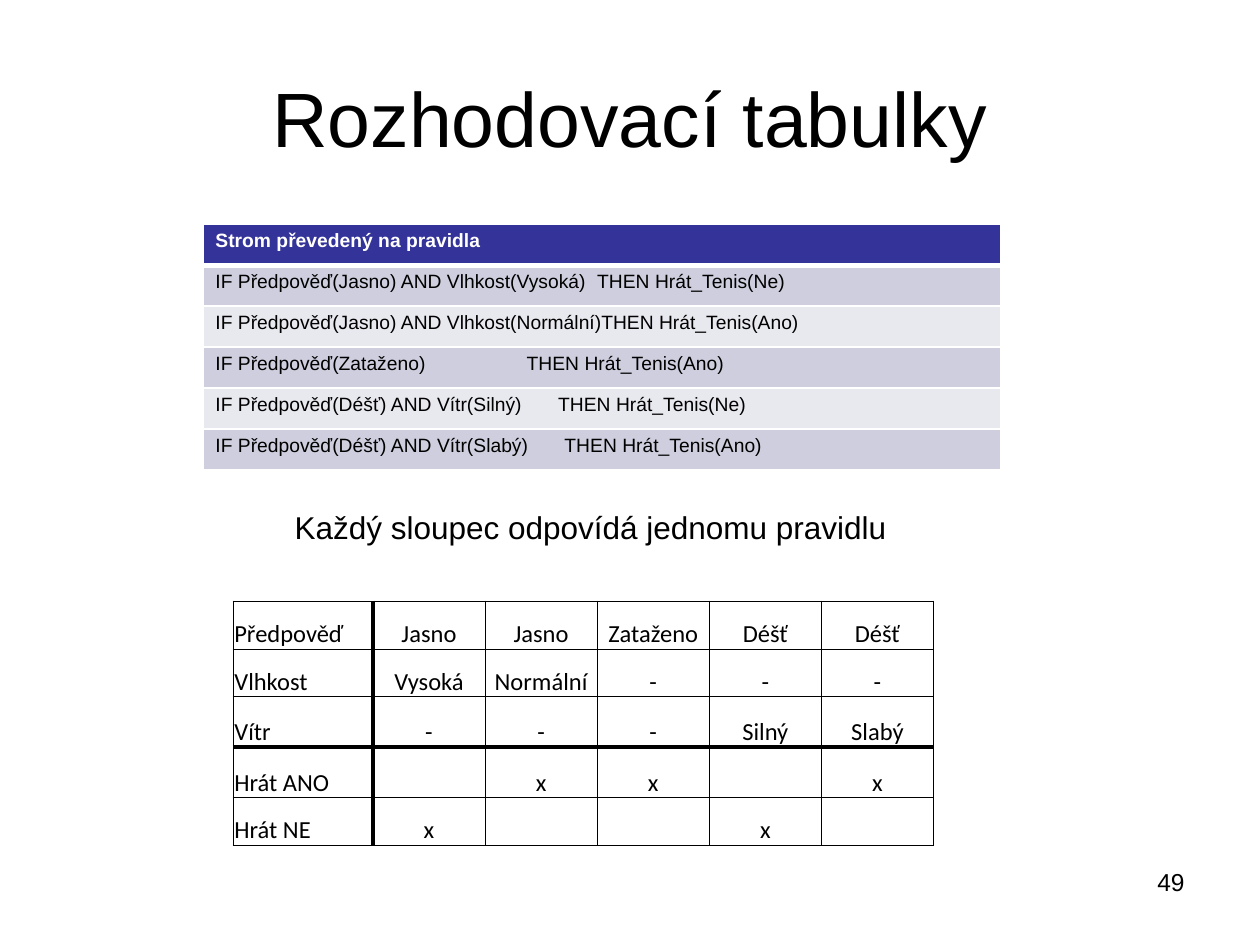
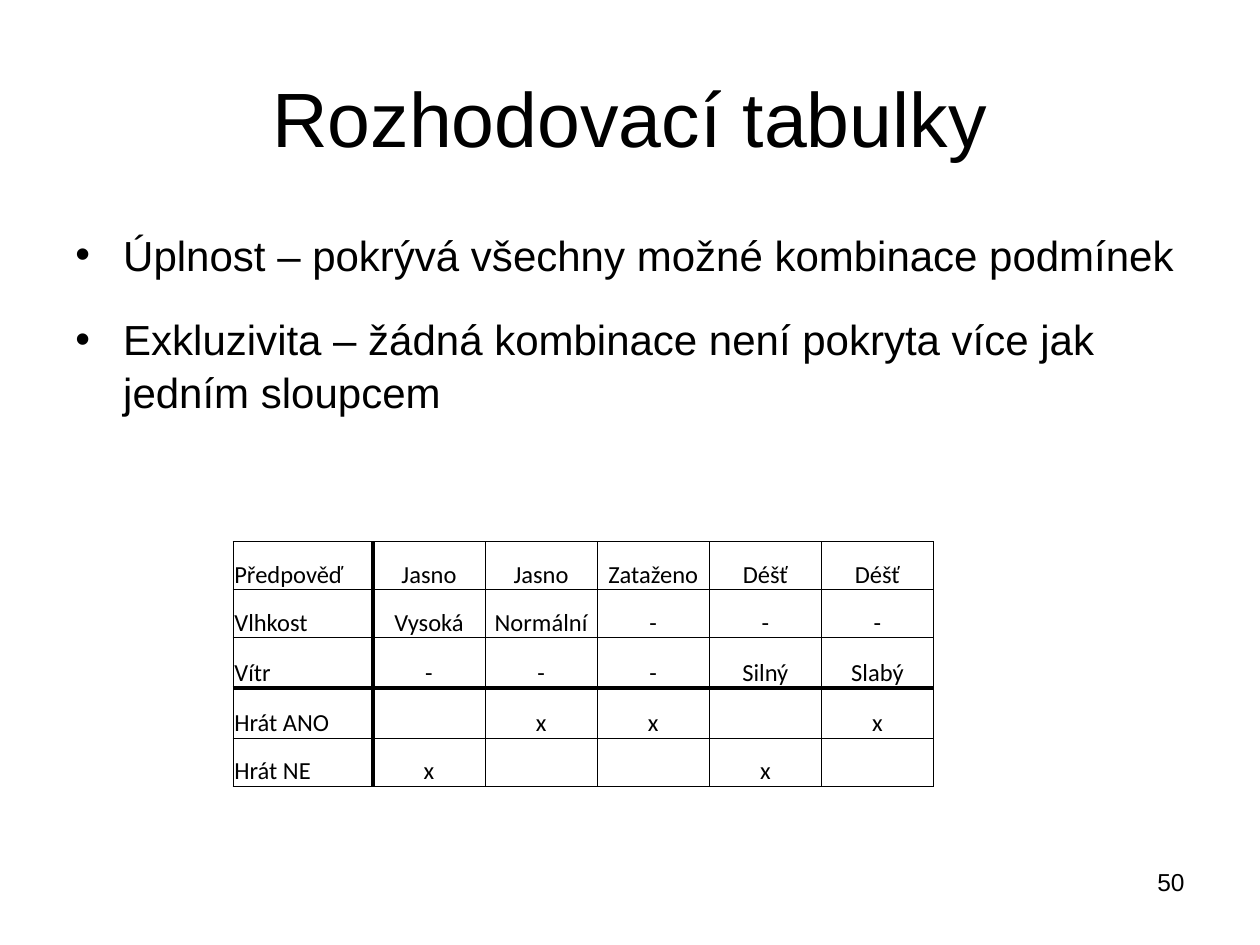
"""Build two slides about decision tables."""
from lxml.etree import SubElement
from pptx import Presentation
from pptx.dml.color import RGBColor
from pptx.enum.text import MSO_ANCHOR, PP_ALIGN
from pptx.oxml.ns import qn
from pptx.util import Inches, Pt

TITLE = "Rozhodovací tabulky"
RULES_HEADING = "Strom převedený na pravidla"
RULES = [
    ("IF Předpověď(Jasno) AND Vlhkost(Vysoká)", "THEN Hrát_Tenis(Ne)", 3.03),
    ("IF Předpověď(Jasno) AND Vlhkost(Normální)", "THEN Hrát_Tenis(Ano)", None),
    ("IF Předpověď(Zataženo)", "THEN Hrát_Tenis(Ano)", 2.47),
    ("IF Předpověď(Déšť) AND Vítr(Silný)", "THEN Hrát_Tenis(Ne)", 2.72),
    ("IF Předpověď(Déšť) AND Vítr(Slabý)", "THEN Hrát_Tenis(Ano)", 2.77),
]
CAPTION = "Každý sloupec odpovídá jednomu pravidlu"
PROPERTIES = [
    "Úplnost – pokrývá všechny možné kombinace podmínek",
    "Exkluzivita – žádná kombinace není pokryta více jak jedním sloupcem",
]
DECISIONS = [
    ("Předpověď", "Jasno", "Jasno", "Zataženo", "Déšť", "Déšť"),
    ("Vlhkost", "Vysoká", "Normální", "-", "-", "-"),
    ("Vítr", "-", "-", "-", "Silný", "Slabý"),
    ("Hrát ANO", "", "x", "x", "", "x"),
    ("Hrát NE", "x", "", "", "x", ""),
]
DECISION_COLUMNS = [1.11] + [0.89] * 5
DECISION_ROWS = [0.38, 0.38, 0.4, 0.4, 0.38]
CONDITION_COUNT = 3
THIN, THICK = 0.5, 3

BLACK = RGBColor(0x00, 0x00, 0x00)
WHITE = RGBColor(0xFF, 0xFF, 0xFF)
HEADER_BLUE = RGBColor(0x33, 0x33, 0x99)
BANDS = [RGBColor(0xCE, 0xCE, 0xDE), RGBColor(0xE8, 0xE8, 0xEF)]


def style_paragraph(paragraph, size, color=BLACK, name="Arial", align=PP_ALIGN.LEFT, bold=False):
    paragraph.alignment = align
    font = paragraph.font
    font.size, font.name, font.bold = Pt(size), name, bold
    font.color.rgb = color


def add_text(slide, box, text, size, align=PP_ALIGN.LEFT, anchor=MSO_ANCHOR.TOP, wrap=True):
    frame = slide.shapes.add_textbox(*map(Inches, box)).text_frame
    frame.word_wrap = wrap
    frame.vertical_anchor = anchor
    frame.text = text
    for paragraph in frame.paragraphs:
        style_paragraph(paragraph, size, align=align)


def add_bullets(slide, box, lines, size):
    frame = slide.shapes.add_textbox(*map(Inches, box)).text_frame
    frame.word_wrap = True
    frame.text = "\n".join(lines)
    for index, paragraph in enumerate(frame.paragraphs):
        paragraph.line_spacing = 1.05
        paragraph.space_before = Pt(18 if index else 0)
        properties = paragraph._p.get_or_add_pPr()
        properties.set("marL", str(Inches(0.38)))
        properties.set("indent", str(-Inches(0.38)))
        SubElement(properties, qn("a:buFont"), typeface="Arial")
        SubElement(properties, qn("a:buChar"), char="•")
        style_paragraph(paragraph, size)


def add_grid(slide, left, top, columns, rows):
    sizes = map(Inches, (left, top, sum(columns), sum(rows)))
    table = slide.shapes.add_table(len(rows), len(columns), *sizes).table
    table.first_row = table.horz_banding = False
    for column, width in zip(table.columns, columns):
        column.width = Inches(width)
    for row, height in zip(table.rows, rows):
        row.height = Inches(height)
    return table


def set_borders(cell, color, left, right, top, bottom):
    properties = cell._tc.get_or_add_tcPr()
    for side, width in zip("LRTB", (left, right, top, bottom)):
        line = SubElement(properties, qn(f"a:ln{side}"), w=str(Pt(width)))
        SubElement(SubElement(line, qn("a:solidFill")), qn("a:srgbClr"), val=str(color))


def add_rules_table(slide):
    table = add_grid(slide, 1.61, 1.78, [6.33], [0.325] * (len(RULES) + 1))
    for index, (condition, action, tab) in enumerate([(RULES_HEADING, "", None)] + RULES):
        cell = table.cell(index, 0)
        header = index == 0
        set_borders(cell, WHITE, 1, 1, 3 if index == 1 else 1, 3 if header else 1)
        cell.fill.solid()
        cell.fill.fore_color.rgb = HEADER_BLUE if header else BANDS[(index - 1) % 2]
        cell.text = condition + ("\t" if tab else "") + action
        paragraph = cell.text_frame.paragraphs[0]
        if tab:
            tabs = SubElement(paragraph._p.get_or_add_pPr(), qn("a:tabLst"))
            SubElement(tabs, qn("a:tab"), pos=str(Inches(tab)), algn="l")
        style_paragraph(paragraph, 11, WHITE if header else BLACK, bold=header)


def add_decision_table(slide, top):
    table = add_grid(slide, 1.85, top, DECISION_COLUMNS, DECISION_ROWS)
    for row, texts in enumerate(DECISIONS):
        for column, text in enumerate(texts):
            cell = table.cell(row, column)
            set_borders(
                cell, BLACK,
                left=THICK if column == 1 else THIN,
                right=THICK if column == 0 else THIN,
                top=THICK if row == CONDITION_COUNT else THIN,
                bottom=THICK if row == CONDITION_COUNT - 1 else THIN,
            )
            cell.fill.background()
            cell.vertical_anchor = MSO_ANCHOR.BOTTOM
            cell.margin_left = cell.margin_right = cell.margin_top = Inches(0.01)
            cell.margin_bottom = 0
            cell.text = text
            align = PP_ALIGN.CENTER if column else PP_ALIGN.LEFT
            style_paragraph(cell.text_frame.paragraphs[0], 14, name="Calibri", align=align)


def add_slide(presentation, number):
    slide = presentation.slides.add_slide(presentation.slide_layouts[6])
    add_text(slide, (0.5, 0.3, 9, 1.25), TITLE, 44, PP_ALIGN.CENTER, MSO_ANCHOR.MIDDLE)
    add_text(slide, (7.17, 6.83, 2.33, 0.52), str(number), 14, PP_ALIGN.RIGHT)
    return slide


def main():
    presentation = Presentation()
    presentation.slide_width, presentation.slide_height = Inches(10), Inches(7.5)

    slide = add_slide(presentation, 49)
    add_rules_table(slide)
    add_text(slide, (2.24, 3.98, 4.94, 0.4), CAPTION, 18, wrap=False)
    add_decision_table(slide, 4.77)

    slide = add_slide(presentation, 50)
    add_bullets(slide, (0.5, 1.75, 9, 4.95), PROPERTIES, 24)
    add_decision_table(slide, 4.3)

    presentation.save("out.pptx")


if __name__ == "__main__":
    main()
